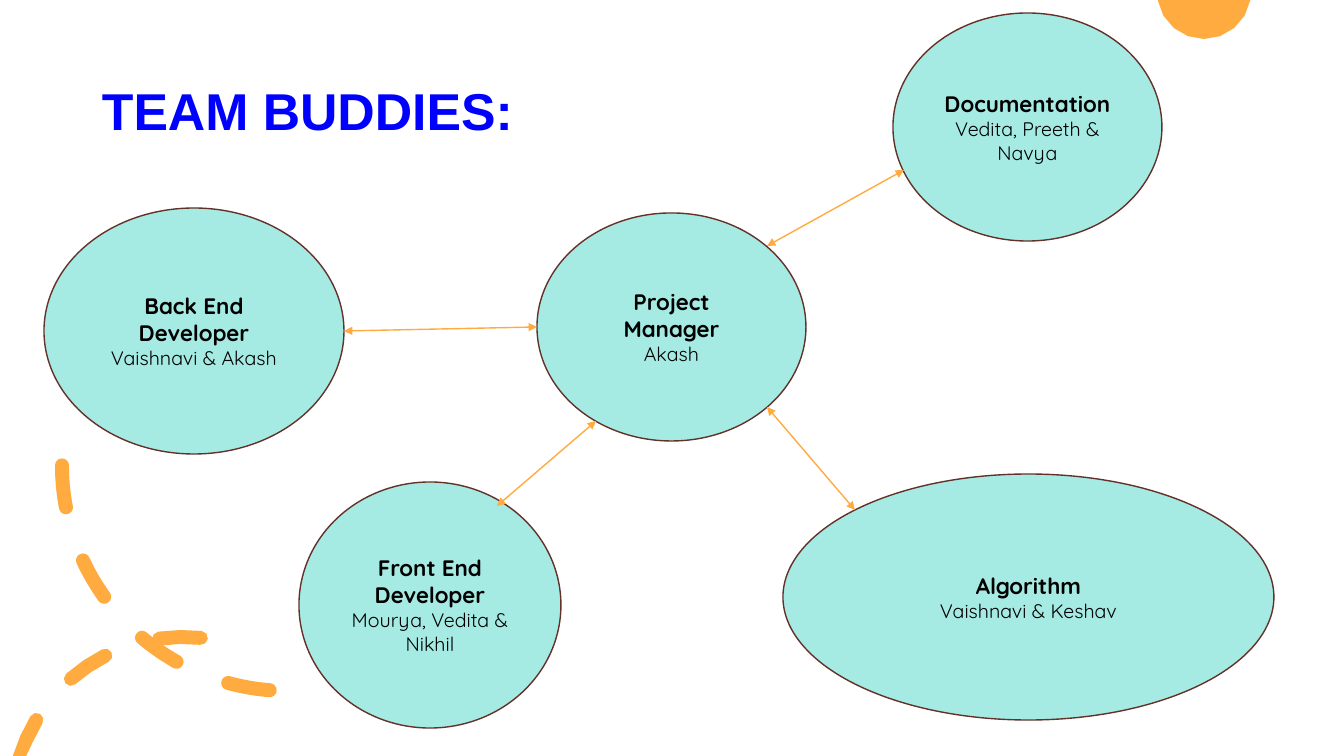
import math

import pptx
import pptx.dml.color
import pptx.enum.dml
import pptx.enum.shapes
import pptx.enum.text
import pptx.oxml.ns
import pptx.util
from lxml import etree

PX = 914400 / 100.8
WIDTH, HEIGHT = 1344, 756
COLORS = {"orange": "FFAB40", "mint": "A5EBE4", "brown": "643128",
          "blue": "0000FF", "black": "000000"}
SHAPES = pptx.enum.shapes.MSO_SHAPE
MEMBERS = [
    ("Documentation", "Vedita, Preeth & Navya", (893, 13, 269, 228)),
    ("Front End Developer", "Mourya, Vedita & Nikhil", (299, 482, 262, 246)),
    ("Back End Developer", "Vaishnavi & Akash", (44, 208, 300, 246)),
    ("Algorithm", "Vaishnavi & Keshav", (783, 474, 491, 246)),
    ("Project Manager", "Akash", (537, 213, 269, 228)),
]
ARROWS = [(767, 407, 855, 510), (767, 246, 904, 170),
          (344, 331, 537, 327), (497, 506, 596, 421)]


def emu(*lengths):
    """Convert px lengths to EMU."""
    return [pptx.util.Emu(round(n * PX)) for n in lengths]


def rgb(name):
    """Return a named colour."""
    return pptx.dml.color.RGBColor.from_string(COLORS[name])


def style_line(line, color, width):
    """Set the colour and point width of a line."""
    line.color.rgb = rgb(color)
    line.width = pptx.util.Pt(width)


def style_text(p, font, size, color, bold):
    """Set the font of a paragraph."""
    p.font.name = font
    p.font.size = pptx.util.Pt(size)
    p.font.color.rgb = rgb(color)
    p.font.bold = bold


def polar(cx, cy, radius, degrees):
    """Return the point at an angle measured clockwise from the top."""
    a = math.radians(degrees)
    return cx + radius * math.sin(a), cy - radius * math.cos(a)


def add_outline(slide, contours):
    """Draw filled orange contours, cut at the slide edges."""
    contours = [[emu(min(max(x, 0), WIDTH), min(max(y, 0), HEIGHT)) for x, y in c]
                for c in contours]
    builder = slide.shapes.build_freeform(*contours[0][0])
    for i, points in enumerate(contours):
        if i:
            builder.move_to(*points[0])
        builder.add_line_segments(points[1:], close=True)
    sp = builder.convert_to_shape()
    sp.shadow.inherit = False
    sp.fill.solid()
    sp.fill.fore_color.rgb = rgb("orange")
    sp.line.fill.background()


def dash_contour(cx, cy, radius, half, start, end):
    """Return the outline of a round-ended dash along a circle."""
    middle = (start + end) / 2
    turns = range(0, 181, 45)
    tip = [polar(*polar(cx, cy, radius, end), half, end + t) for t in turns]
    tail = [polar(*polar(cx, cy, radius, start), half, start + 180 + t)
            for t in turns]
    return [polar(cx, cy, radius + half, middle), *tip,
            polar(cx, cy, radius - half, middle), *tail]


def add_decor(slide, disc, ring, arc):
    """Draw the disc, the dashed ring and the dashed arc in their boxes."""
    x, y, size = disc
    r = size / 2
    add_outline(slide, [[polar(x + r, y + r, r, a) for a in range(80, 281, 20)]])
    x, y, size = ring
    r = size / 2
    add_outline(slide, [dash_contour(x + r, y + r, r, 7, *angles)
                        for angles in ((-73, -59), (-41, -27), (-8, 6))])
    x, y, size = arc
    sp = slide.shapes.add_shape(SHAPES.ARC, *emu(x, y, size, size))
    sp.shadow.inherit = False
    sp.fill.background()
    sp.rotation = 270
    sp._element.spPr.find(pptx.oxml.ns.qn("a:xfrm")).set("flipH", "1")
    style_line(sp.line, "orange", 10)
    sp.line.dash_style = pptx.enum.dml.MSO_LINE.DASH
    sp._element.spPr.find(pptx.oxml.ns.qn("a:ln")).set("cap", "rnd")


def add_title(slide, text, box):
    """Write the slide title in its box."""
    tf = slide.shapes.add_textbox(*emu(*box)).text_frame
    tf.word_wrap = True
    tf.vertical_anchor = pptx.enum.text.MSO_ANCHOR.MIDDLE
    p = tf.paragraphs[0]
    p.text = text
    p.line_spacing = 0.9
    style_text(p, "Arial", 37, "blue", True)


def add_member(slide, role, names, box):
    """Draw one role ellipse with its names."""
    sp = slide.shapes.add_shape(SHAPES.OVAL, *emu(*box))
    sp.shadow.inherit = False
    sp.fill.solid()
    sp.fill.fore_color.rgb = rgb("mint")
    style_line(sp.line, "brown", 1)
    tf = sp.text_frame
    tf.word_wrap = True
    tf.vertical_anchor = pptx.enum.text.MSO_ANCHOR.MIDDLE
    tf.text = f"{role}\n{names}"
    for p, size, bold in zip(tf.paragraphs, (16, 14), (True, False)):
        p.alignment = pptx.enum.text.PP_ALIGN.CENTER
        style_text(p, "Quicksand", size, "black", bold)


def add_arrow(slide, ends):
    """Draw a double-headed arrow between two points."""
    line = slide.shapes.add_connector(
        pptx.enum.shapes.MSO_CONNECTOR.STRAIGHT, *emu(*ends))
    style_line(line.line, "orange", 1)
    qn = pptx.oxml.ns.qn
    sp_pr = line._element.spPr
    for tag in ("a:headEnd", "a:tailEnd"):
        etree.SubElement(sp_pr.find(qn("a:ln")), qn(tag), type="triangle")
    etree.SubElement(sp_pr, qn("a:effectLst"))


def main():
    """Build and save the team slide."""
    prs = pptx.Presentation()
    prs.slide_width, prs.slide_height = emu(WIDTH, HEIGHT)
    slide = prs.slides.add_slide(prs.slide_layouts[6])
    add_decor(slide, (1157, -55, 94), (12, 637, 342), (62, 240, 451))
    add_title(slide, "TEAM BUDDIES:", (92, 41, 1159, 146))
    for role, names, box in MEMBERS:
        add_member(slide, role, names, box)
    for ends in ARROWS:
        add_arrow(slide, ends)
    prs.save("out.pptx")


if __name__ == "__main__":
    main()
